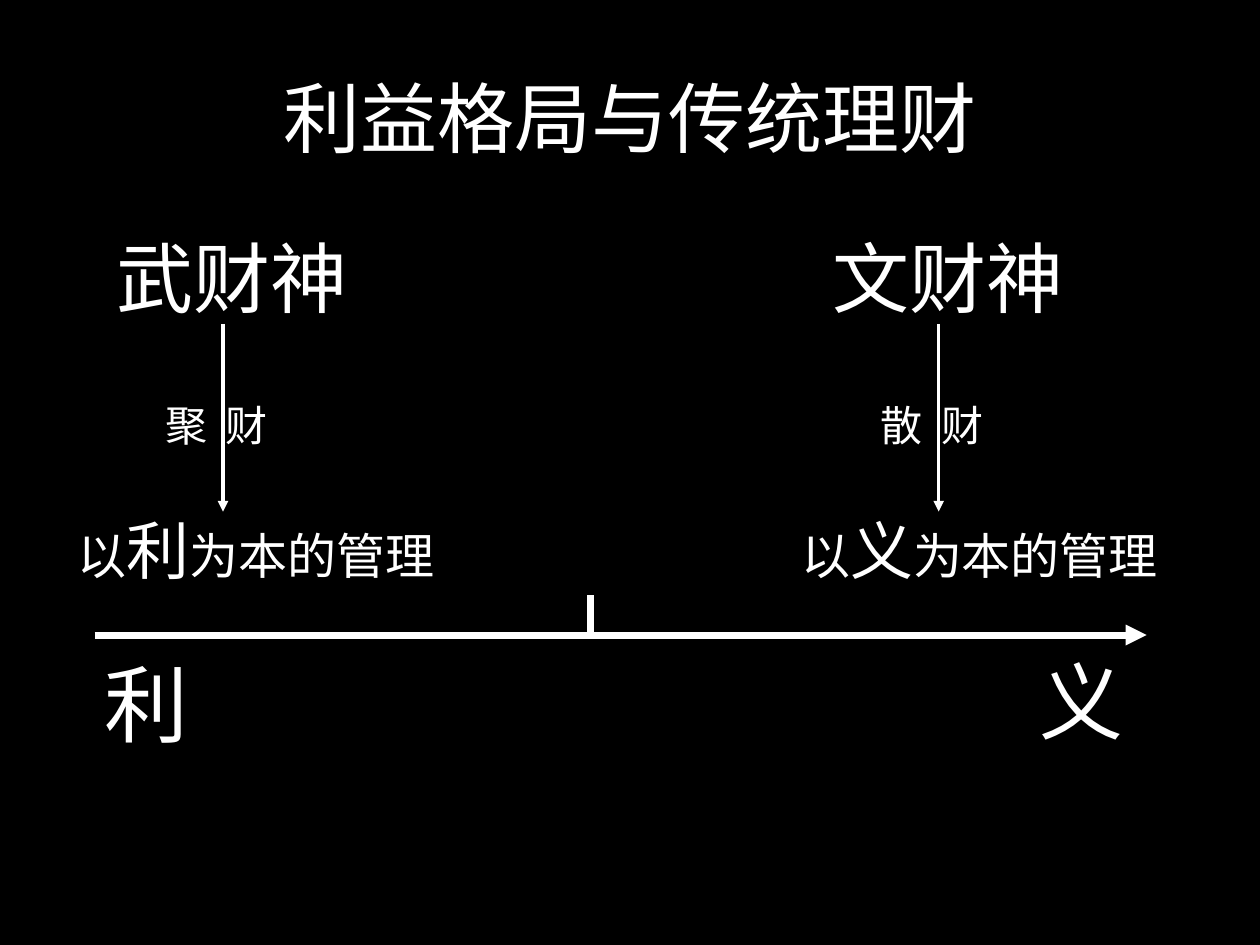
from lxml import etree
from pptx import Presentation, util as u
from pptx.dml.color import RGBColor
from pptx.enum import shapes, text
from pptx.oxml.ns import qn

PX = 9144  # one px is 1/100 inch
WHITE = "FFFFFF"
BLACK = "000000"


def px(length):
    return u.Emu(length * PX)


def color(hex_value):
    return RGBColor.from_string(hex_value)


def add_run(paragraph, words, size):
    run = paragraph.add_run()
    run.text = words
    run.font.size = u.Pt(size)
    run.font.name = "Arial"
    run.font.color.rgb = color(WHITE)


def add_label(slide, box, runs, wrap=False):
    """Place a text box holding one paragraph of (words, size) runs."""
    label = slide.shapes.add_textbox(*map(px, box))
    frame = label.text_frame
    frame.word_wrap = wrap
    frame.auto_size = text.MSO_AUTO_SIZE.SHAPE_TO_FIT_TEXT
    for words, size in runs:
        add_run(frame.paragraphs[0], words, size)
    return frame


def add_line(slide, start, end, width, arrow=False):
    line = slide.shapes.add_connector(
        shapes.MSO_CONNECTOR.STRAIGHT, *map(px, start + end))
    line.line.color.rgb = color(WHITE)
    line.line.width = u.Pt(width)
    if arrow:
        etree.SubElement(line.line._get_or_add_ln(), qn("a:tailEnd"), type="triangle")
    etree.SubElement(line._element.spPr, qn("a:effectLst"))


def add_title(slide, box, words):
    title = slide.shapes.title
    title.left, title.top, title.width, title.height = map(px, box)
    frame = title.text_frame
    frame.vertical_anchor = text.MSO_ANCHOR.MIDDLE
    frame.paragraphs[0].alignment = text.PP_ALIGN.CENTER
    add_run(frame.paragraphs[0], words, 44)


def add_axis(slide, box, start_label, end_label):
    left, top, width, tick_height = box
    base = top + tick_height
    middle = left + 394
    add_line(slide, (left, base), (left + width, base), 4, arrow=True)
    add_line(slide, (middle, base), (middle, top), 4)
    add_label(slide, (left - 2, base + 9, 88, 90), [(start_label, 48)])
    add_label(slide, (left + width - 95, base + 7, 88, 90), [(end_label, 48)])


def add_god(slide, box, name, action):
    """Name a god of wealth, with an arrow that runs between the words of its action."""
    left, top, width, height = box
    add_label(slide, (left, top, width, 84), [(name, 44)])
    frame = add_label(slide, (left + 31, top + 134, 122, 90), [], wrap=True)
    frame.margin_left = px(17)
    paragraph = frame.paragraphs[0]
    tabs = etree.SubElement(paragraph._p.get_or_add_pPr(), qn("a:tabLst"))
    etree.SubElement(tabs, qn("a:tab"), pos=str(px(48)), algn="l")
    add_run(paragraph, "\t".join(action), 24)
    arrow_x = left + 94
    add_line(slide, (arrow_x, top + 79), (arrow_x, top + height), 2, arrow=True)


def add_principle(slide, box, value):
    add_label(slide, box, [("以", 28), (value, 36), ("为本的管理", 28)])


def main():
    deck = Presentation()
    deck.slide_width, deck.slide_height = px(1000), px(750)
    slide = deck.slides.add_slide(deck.slide_layouts[5])
    slide.background.fill.solid()
    slide.background.fill.fore_color.rgb = color(BLACK)

    add_title(slide, (50, 30, 900, 125), "利益格局与传统理财")
    add_axis(slide, (75, 472, 835, 32), "利", "义")
    for god_left, principle_left, name, action, value in (
        (83, 52, "武财神", "聚财", "利"),
        (651, 626, "文财神", "散财", "义"),
    ):
        add_principle(slide, (principle_left, 401, 306, 70), value)
        add_god(slide, (god_left, 178, 212, 228), name, action)
    deck.save("out.pptx")


if __name__ == "__main__":
    main()
